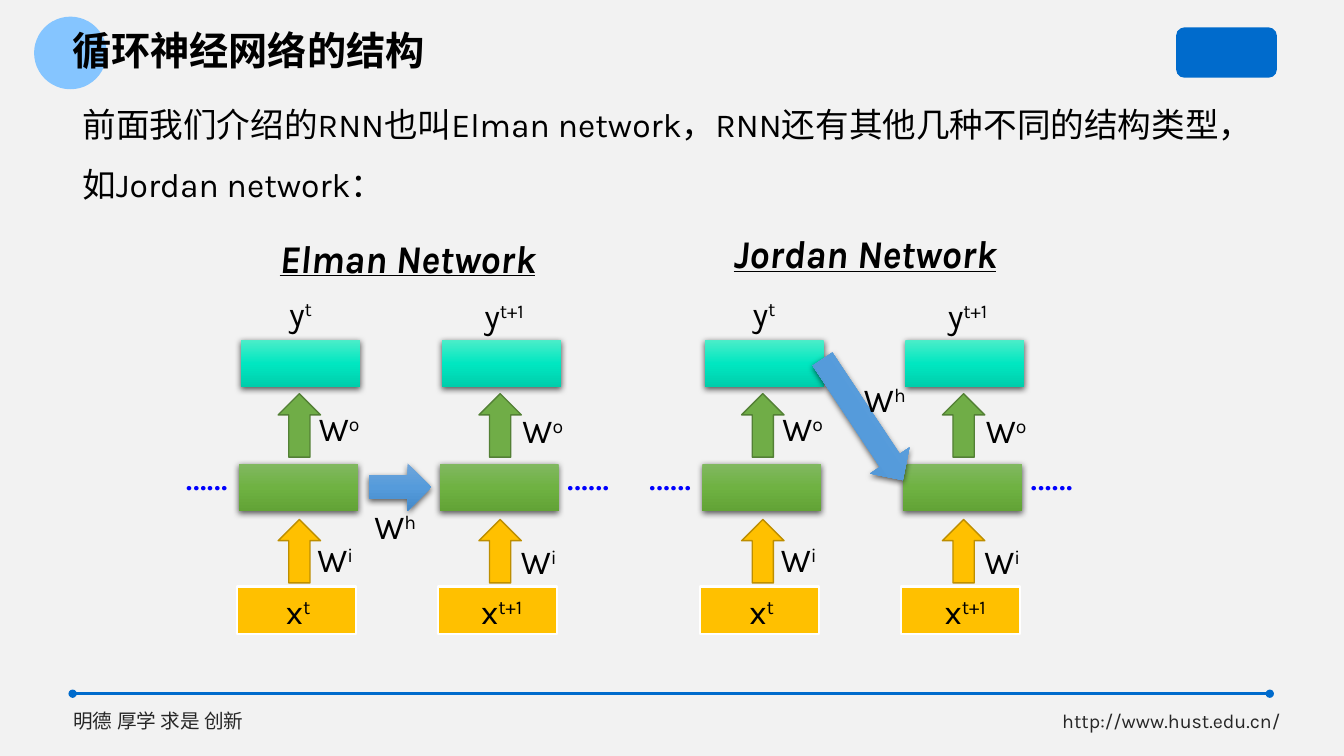
from pptx import Presentation
from pptx.dml.color import RGBColor
from pptx.enum.shapes import MSO_CONNECTOR, MSO_SHAPE
from pptx.enum.text import MSO_ANCHOR, PP_ALIGN
from pptx.oxml import parse_xml
from pptx.oxml.ns import nsdecls
from pptx.util import Cm, Pt

RECTANGLE, OVAL = MSO_SHAPE.RECTANGLE, MSO_SHAPE.OVAL
ROUNDED = MSO_SHAPE.ROUNDED_RECTANGLE
UP_ARROW, RIGHT_ARROW = MSO_SHAPE.UP_ARROW, MSO_SHAPE.RIGHT_ARROW
STRAIGHT = MSO_CONNECTOR.STRAIGHT
MIDDLE = MSO_ANCHOR.MIDDLE
LEFT, CENTER = PP_ALIGN.LEFT, PP_ALIGN.CENTER

LATIN_FONT = "Karla"
CHINESE_FONT = "Noto Sans CJK SC"

BACKGROUND = RGBColor(0xF2, 0xF2, 0xF2)
BLACK = RGBColor(0, 0, 0)
WHITE = RGBColor(0xFF, 0xFF, 0xFF)
DARK_GRAY = RGBColor(0x26, 0x26, 0x26)
LIGHT_BLUE = RGBColor(0x85, 0xC5, 0xFF)
SCHOOL_BLUE = RGBColor(0x00, 0x6B, 0xCC)
DOT_BLUE = RGBColor(0, 0, 0xFF)
AMBER = RGBColor(0xFF, 0xC0, 0x00)
DARK_AMBER = RGBColor(0xBD, 0x8E, 0x00)
GREEN = RGBColor(0x70, 0xAD, 0x47)
DARK_GREEN = RGBColor(0x53, 0x80, 0x35)

# Gradient colours from top to bottom
GREEN_SHADES = [RGBColor(0x81, 0xB8, 0x61), RGBColor(0x6F, 0xB2, 0x42), RGBColor(0x62, 0xA3, 0x36)]
TEAL_SHADES = [RGBColor(0x4B, 0xED, 0xC9), RGBColor(0x00, 0xE7, 0xC1), RGBColor(0x00, 0xCD, 0xAB)]
BLUE_SHADES = [RGBColor(0x71, 0xA6, 0xDB), RGBColor(0x55, 0x9B, 0xDB), RGBColor(0x44, 0x8A, 0xCA)]

# Lengths in centimetres
LAYER_SIZE = (3, 1.19)
ARROW_SIZE = (1.07, 1.6)
NODE_LABEL_SIZE = (2.51, 1.27)
WEIGHT_SIZE = (1.78, 1.27)
DOTS_SIZE = (2.46, 1.45)
HEADING_SIZE = (8.23, 1.45)
STEP_PITCH = 5.06
LABEL_PITCH = 5.13
JORDAN_OFFSET = 11.68


def add_text(page, left, top, size, text, points=24, color=BLACK,
             align=LEFT, raised="", font=LATIN_FONT):
    """Add a text box; raised is a superscript that follows the text."""
    box = page.shapes.add_textbox(Cm(left), Cm(top), *map(Cm, size))
    box.text_frame.word_wrap = True
    para = box.text_frame.paragraphs[0]
    para.text = text
    para.alignment = align
    if raised:
        para.add_run().text = raised
        para.runs[1].font._element.set("baseline", "30000")
    for span in para.runs:
        span.font.size = Pt(points)
        span.font.color.rgb = color
        span.font.name = font
        span.font._element.append(parse_xml(
            f'<a:ea {nsdecls("a")} typeface="{CHINESE_FONT}"/>'))
    return box


def add_flat_shape(page, kind, left, top, size, fill, line=None, width=1):
    shape = page.shapes.add_shape(kind, Cm(left), Cm(top), *map(Cm, size))
    shape.shadow.inherit = False
    shape.fill.solid()
    shape.fill.fore_color.rgb = fill
    if line is None:
        shape.line.fill.background()
    else:
        shape.line.color.rgb = line
        shape.line.width = Pt(width)


def add_shaded_shape(page, kind, left, top, size, shades):
    """Add a shape with a vertical gradient and a soft shadow below it."""
    shape = page.shapes.add_shape(kind, Cm(left), Cm(top), *map(Cm, size))
    stops = "".join(
        f'<a:gs pos="{index * 50000}"><a:srgbClr val="{shade}"/></a:gs>'
        for index, shade in enumerate(shades))
    properties = shape._element.spPr
    properties.append(parse_xml(
        f'<a:gradFill {nsdecls("a")} rotWithShape="1"><a:gsLst>{stops}</a:gsLst>'
        '<a:lin ang="5400000" scaled="0"/></a:gradFill>'))
    shape.line.fill.background()
    properties.append(parse_xml(
        f'<a:effectLst {nsdecls("a")}><a:outerShdw blurRad="57150" dist="19050" '
        'dir="5400000" algn="ctr" rotWithShape="0"><a:srgbClr val="000000">'
        '<a:alpha val="63000"/></a:srgbClr></a:outerShdw></a:effectLst>'))
    return shape


def add_footer_rule(page):
    rule = page.shapes.add_connector(STRAIGHT, Cm(1.83), Cm(17.48), Cm(32), Cm(17.48))
    rule.line.color.rgb = SCHOOL_BLUE
    rule.line.width = Pt(1.75)
    for end in ("headEnd", "tailEnd"):
        rule.line._ln.append(parse_xml(f'<a:{end} {nsdecls("a")} type="oval"/>'))
    rule._element.spPr.append(parse_xml(f'<a:effectLst {nsdecls("a")}/>'))


def add_frame(page):
    add_text(page, 1.6, 17.73, (6.5, 0.86), "明德 厚学 求是 创新", 14, DARK_GRAY)
    add_text(page, 26.52, 17.73, (6.5, 0.86), "http://www.hust.edu.cn/", 14, DARK_GRAY)
    add_flat_shape(page, OVAL, 0.86, 0.42, (1.83, 1.83), LIGHT_BLUE)
    add_flat_shape(page, ROUNDED, 29.64, 0.69, (2.54, 1.27), SCHOOL_BLUE)
    add_footer_rule(page)


def add_time_step(page, offset, column, step):
    """Add one input-hidden-output stack with its labels."""
    left = offset + column * STEP_PITCH
    label_left = offset + column * LABEL_PITCH
    drop = column * 0.05
    add_flat_shape(page, RECTANGLE, left + 5.97, 14.78, LAYER_SIZE, AMBER, WHITE, 1.5)
    add_shaded_shape(page, RECTANGLE, left + 6.02, 11.69, LAYER_SIZE, GREEN_SHADES)
    add_shaded_shape(page, RECTANGLE, left + 6.08, 8.57, LAYER_SIZE, TEAL_SHADES)
    add_flat_shape(page, UP_ARROW, left + 7.01, 13.09, ARROW_SIZE, AMBER, DARK_AMBER)
    add_flat_shape(page, UP_ARROW, left + 7.01, 9.92, ARROW_SIZE, GREEN, DARK_GREEN)
    add_text(page, label_left + 6.26, 14.77, NODE_LABEL_SIZE, "x", align=CENTER, raised=step)
    add_text(page, label_left + 6.32, 7.26 + drop, NODE_LABEL_SIZE, "y",
             align=CENTER, raised=step)
    add_text(page, label_left + 7.56, 13.45 + drop, WEIGHT_SIZE, "W", align=CENTER, raised="i")
    add_text(page, label_left + 7.66, 10.15 + drop, WEIGHT_SIZE, "W", align=CENTER, raised="o")


def add_network(page, offset):
    for column, step in enumerate(("t", "t+1")):
        add_time_step(page, offset, column, step)
    for left in (3.98, 13.59):
        add_text(page, offset + left, 11.25, DOTS_SIZE, "……", 28, DOT_BLUE, CENTER)


def add_heading(page, left, top, text):
    box = add_text(page, left, top, HEADING_SIZE, text, 28, align=CENTER)
    font = box.text_frame.paragraphs[0].runs[0].font
    font.bold = font.italic = font.underline = True


def main():
    deck = Presentation()
    deck.slide_width, deck.slide_height = Cm(33.87), Cm(19.05)
    page = deck.slides.add_slide(deck.slide_layouts[6])
    page.background.fill.solid()
    page.background.fill.fore_color.rgb = BACKGROUND

    add_frame(page)
    title = add_text(page, 1.57, 0.74, (23.75, 1.19), "循环神经网络的结构", 28,
                     font=CHINESE_FONT)
    title.text_frame.vertical_anchor = MIDDLE
    title.text_frame.paragraphs[0].line_spacing = 0.9
    title.text_frame.paragraphs[0].runs[0].font.bold = True
    intro = add_text(
        page, 1.83, 1.98, (30.18, 3.15),
        "前面我们介绍的RNN也叫Elman network，RNN还有其他几种不同的结构类型，如Jordan network：")
    intro.text_frame.paragraphs[0].line_spacing = 1.5

    add_network(page, 0)
    add_shaded_shape(page, RIGHT_ARROW, 9.3, 11.68, (1.57, 1.19), BLUE_SHADES)
    add_text(page, 9.07, 12.62, WEIGHT_SIZE, "W", align=CENTER, raised="h")
    add_heading(page, 6.15, 5.77, "Elman Network")

    add_network(page, JORDAN_OFFSET)
    feedback = add_shaded_shape(page, RIGHT_ARROW, 19.91, 9.98, (3.66, 1.19), BLUE_SHADES)
    feedback.rotation = 56.4
    add_text(page, 21.41, 9.42, WEIGHT_SIZE, "W", align=CENTER, raised="h")
    add_heading(page, 17.68, 5.66, "Jordan Network")
    deck.save("out.pptx")


if __name__ == "__main__":
    main()
